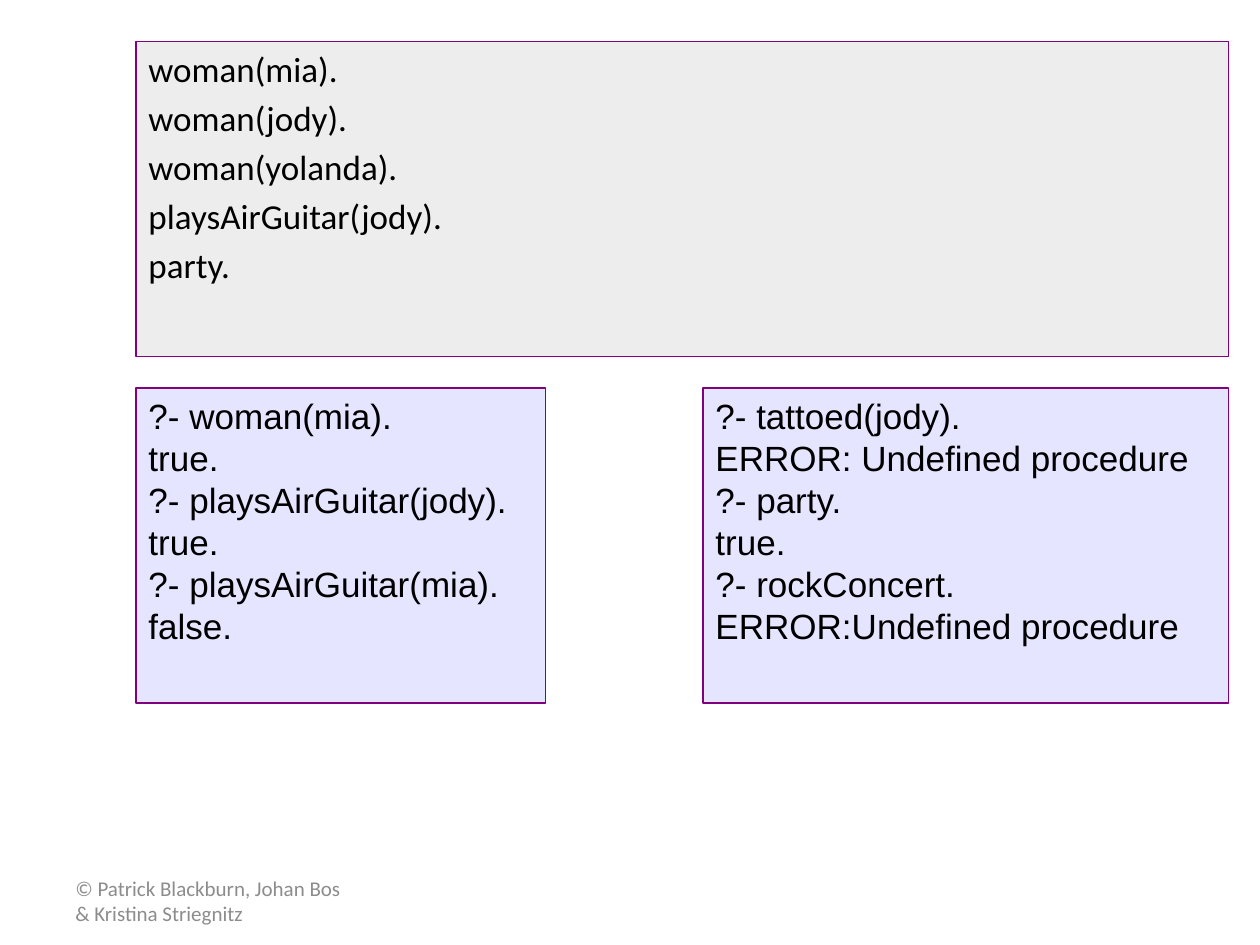
from lxml.etree import SubElement
from pptx import Presentation
from pptx.dml.color import RGBColor
from pptx.enum.shapes import MSO_SHAPE
from pptx.enum.text import MSO_ANCHOR, PP_ALIGN
from pptx.oxml.ns import qn
from pptx.util import Inches, Pt

BLACK = RGBColor(0x00, 0x00, 0x00)
GREY = RGBColor(0x8C, 0x8C, 0x8C)
PURPLE = RGBColor(0x80, 0x00, 0x80)
SILVER = RGBColor(0xDD, 0xDD, 0xDD)
LILAC = RGBColor(0xCC, 0xCC, 0xFF)

LEFT, RIGHT = 1.08, 9.75
HIGH = 2.5
HANG = Inches(0.38)

FACTS = [
    "woman(mia).",
    "woman(jody).",
    "woman(yolanda).",
    "playsAirGuitar(jody).",
    "party.",
]
ANSWERS = [
    "?- woman(mia).",
    "true.",
    "?- playsAirGuitar(jody).",
    "true.",
    "?- playsAirGuitar(mia).",
    "false.",
]
ERRORS = [
    "?- tattoed(jody).",
    "ERROR: Undefined procedure",
    "?- party.",
    "true.",
    "?- rockConcert.",
    "ERROR:Undefined procedure",
]


def style(para, font, size, color):
    para.alignment = PP_ALIGN.LEFT
    for run in para.runs:
        run.font.name = font
        run.font.size = Pt(size)
        run.font.color.rgb = color


def fade(shape, percent):
    color = shape.fill._xPr.find(qn("a:solidFill"))[0]
    SubElement(color, qn("a:alpha")).set("val", str(percent * 1000))


def add_code(slide, left, top, width, lines, fill, font, gap=0):
    box = slide.shapes.add_shape(
        MSO_SHAPE.RECTANGLE,
        Inches(left), Inches(top), Inches(width), Inches(HIGH))
    box.shadow.inherit = False
    box.fill.solid()
    box.fill.fore_color.rgb = fill
    fade(box, 50)
    box.line.color.rgb = PURPLE
    box.line.width = Pt(0.75)

    frame = box.text_frame
    frame.word_wrap = True
    frame.vertical_anchor = MSO_ANCHOR.TOP
    frame.text = "\n".join(lines)
    for para in frame.paragraphs:
        style(para, font, 20, BLACK)
        para.space_before = Pt(gap)
        # Hanging indent
        props = para._p.get_or_add_pPr()
        props.set("marL", str(HANG))
        props.set("indent", str(-HANG))


def add_footer(slide, text):
    box = slide.shapes.add_textbox(
        Inches(0.5), Inches(6.95), Inches(2.33), Inches(0.4))
    frame = box.text_frame
    frame.word_wrap = True
    frame.vertical_anchor = MSO_ANCHOR.MIDDLE
    frame.text = text
    style(frame.paragraphs[0], "Calibri", 12, GREY)


def main():
    deck = Presentation()
    deck.slide_width, deck.slide_height = Inches(10), Inches(7.5)
    slide = deck.slides.add_slide(deck.slide_layouts[6])

    add_footer(slide, "© Patrick Blackburn, Johan Bos & Kristina Striegnitz")

    # Knowledge base
    add_code(slide, LEFT, 0.33, RIGHT - LEFT, FACTS, SILVER, "Calibri", 4)

    # Queries and replies
    add_code(slide, LEFT, 3.08, 3.25, ANSWERS, LILAC, "Arial")
    add_code(slide, 5.58, 3.08, RIGHT - 5.58, ERRORS, LILAC, "Arial")

    deck.save("out.pptx")


if __name__ == "__main__":
    main()
